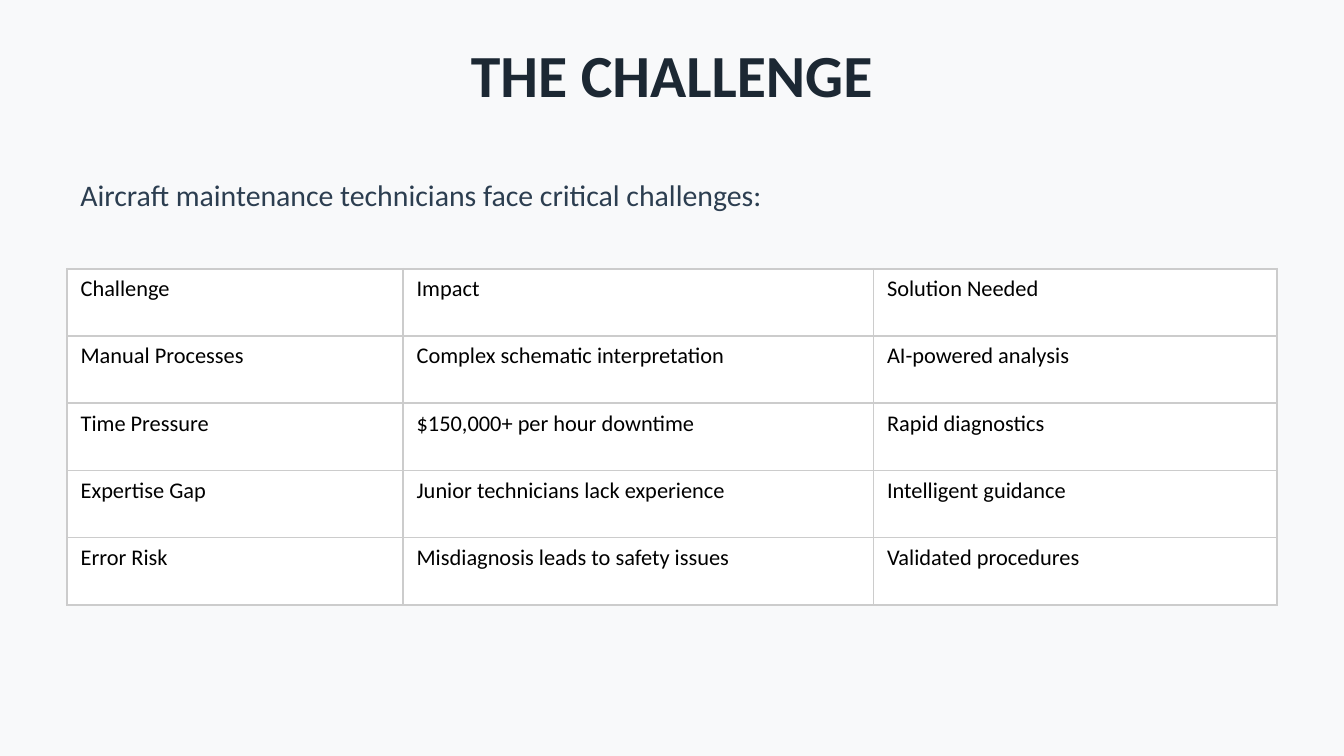
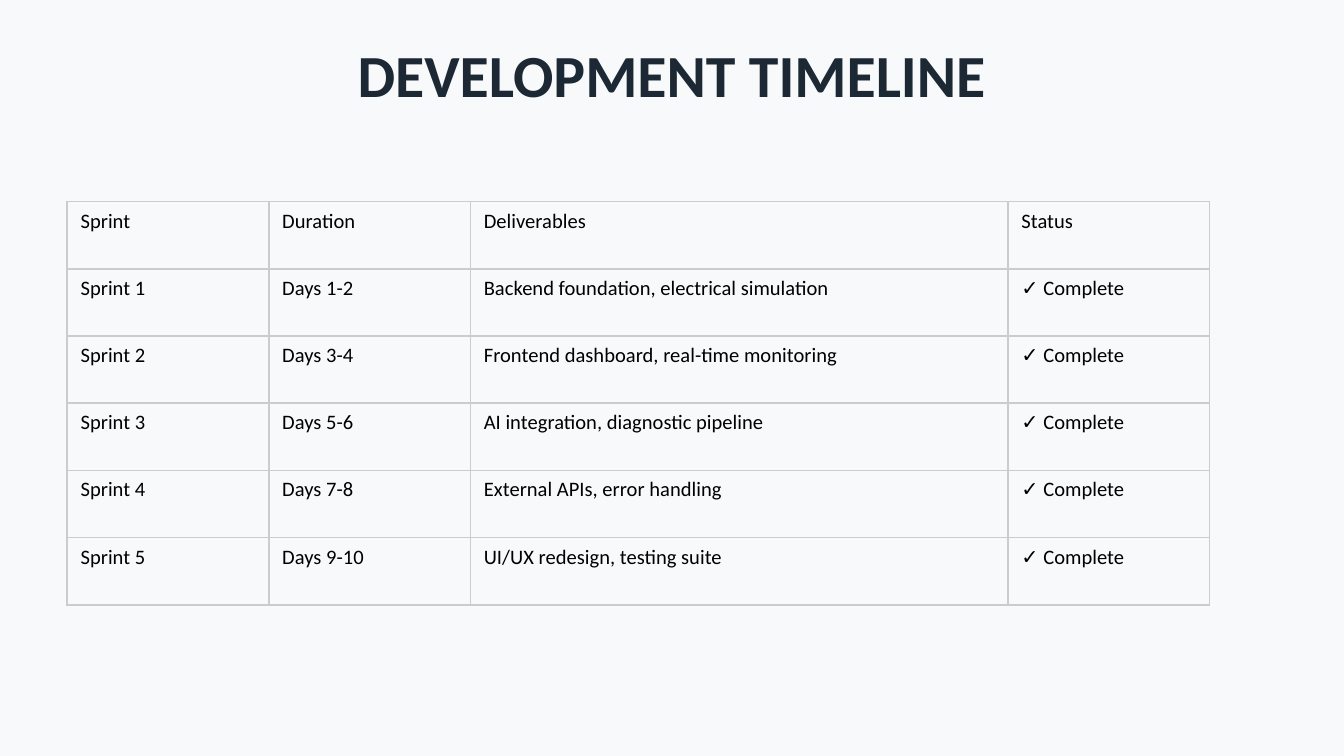
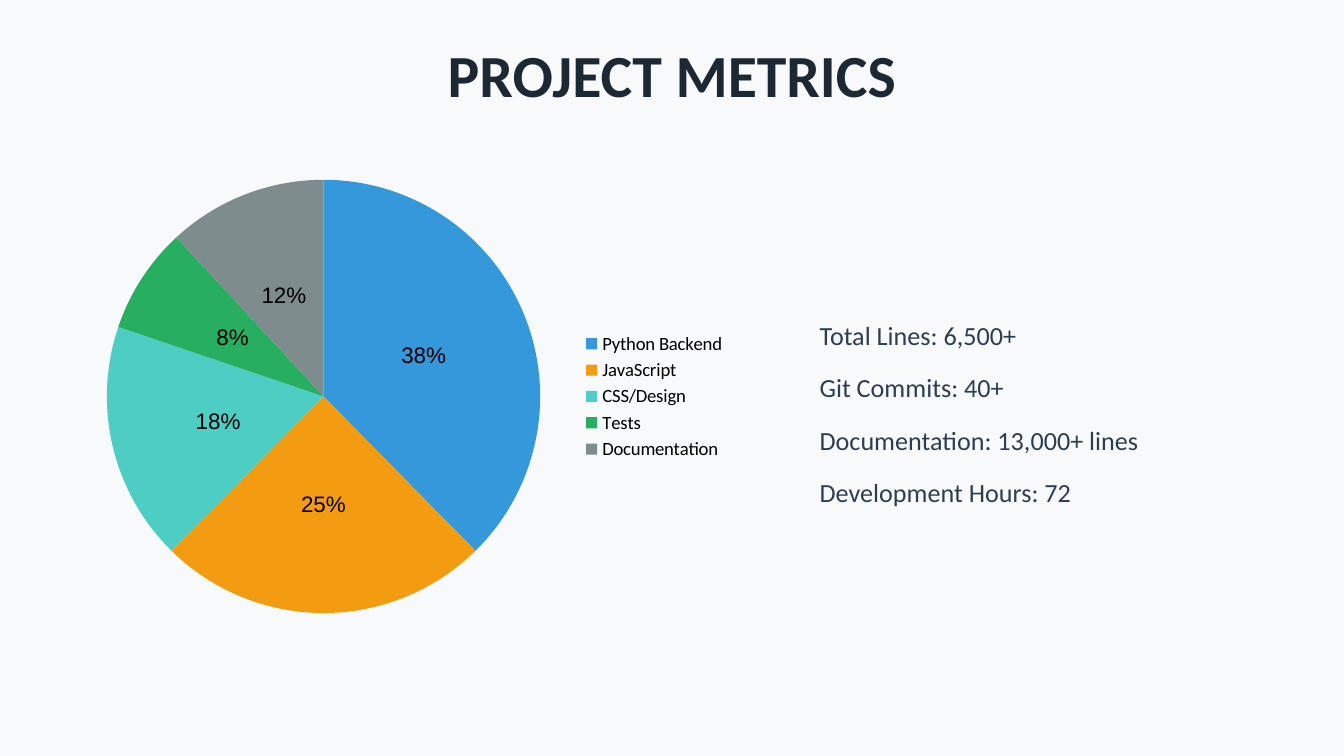
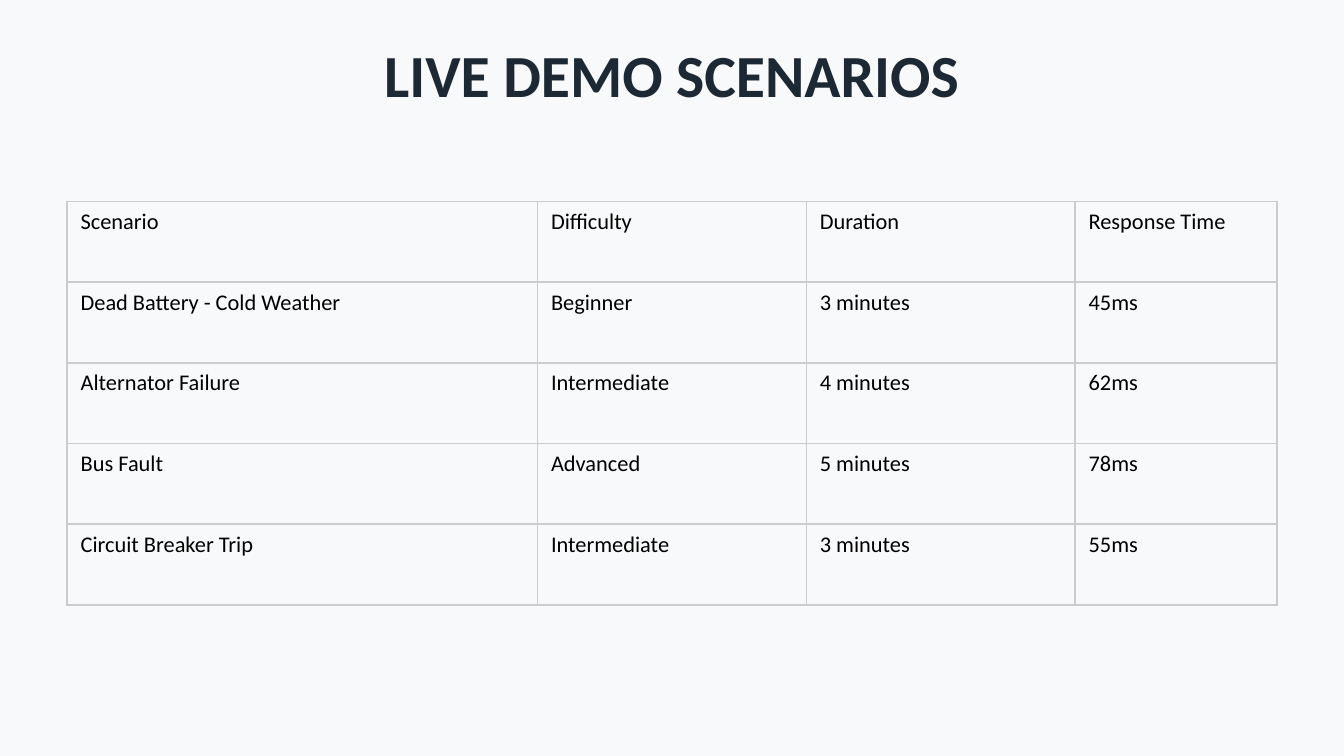
"""Build four slides on an aircraft maintenance assistant: three tables and a pie chart."""
import dataclasses
import typing

import lxml.etree
import pptx
import pptx.chart.data
import pptx.dml.color
import pptx.enum.chart
import pptx.enum.text
import pptx.oxml.ns
import pptx.slide
import pptx.util

Inches = pptx.util.Inches
Pt = pptx.util.Pt
Align = pptx.enum.text.PP_ALIGN

FONT = "Calibri"
PAPER = "F8F9FA"
HEADING = "1C2833"
BODY = "2C3E50"
BLACK = "000000"
WHITE = "FFFFFF"
GRID = "CCCCCC"
SLICE_EDGE = "F9F9F9"
PAGE_WIDTH = Inches(10)
PAGE_HEIGHT = PAGE_WIDTH * 9 // 16
MARGIN = Inches(0.5)
CONTENT_WIDTH = Inches(9)


@dataclasses.dataclass(frozen=True)
class TextStyle:
    size: float
    color: str
    bold: bool = False
    align: Align = Align.LEFT
    leading: typing.Optional[float] = None


@dataclasses.dataclass(frozen=True)
class Grid:
    top: float
    row_height: float
    columns: tuple[float, ...]
    size: float
    rows: tuple[tuple[str, ...], ...]
    fill: typing.Optional[str] = None


@dataclasses.dataclass(frozen=True)
class Slice:
    label: str
    share: int
    color: str


TITLE = TextStyle(32, HEADING, bold=True, align=Align.CENTER)
LEAD = TextStyle(16, BODY)
FACTS = TextStyle(14, BODY, leading=28)

CHALLENGES = Grid(2, 0.5, (2.5, 3.5, 3), 12, (
    ("Challenge", "Impact", "Solution Needed"),
    ("Manual Processes", "Complex schematic interpretation", "AI-powered analysis"),
    ("Time Pressure", "$150,000+ per hour downtime", "Rapid diagnostics"),
    ("Expertise Gap", "Junior technicians lack experience", "Intelligent guidance"),
    ("Error Risk", "Misdiagnosis leads to safety issues", "Validated procedures"),
), WHITE)

DELIVERABLES = (
    "Backend foundation, electrical simulation",
    "Frontend dashboard, real-time monitoring",
    "AI integration, diagnostic pipeline",
    "External APIs, error handling",
    "UI/UX redesign, testing suite",
)
TIMELINE = Grid(1.5, 0.5, (1.5, 1.5, 4, 1.5), 11, (
    ("Sprint", "Duration", "Deliverables", "Status"),
    *((f"Sprint {number}", f"Days {2 * number - 1}-{2 * number}", work, "✓ Complete")
      for number, work in enumerate(DELIVERABLES, 1)),
))

SCENARIOS = Grid(1.5, 0.6, (3.5, 2, 2, 1.5), 12, (
    ("Scenario", "Difficulty", "Duration", "Response Time"),
    ("Dead Battery - Cold Weather", "Beginner", "3 minutes", "45ms"),
    ("Alternator Failure", "Intermediate", "4 minutes", "62ms"),
    ("Bus Fault", "Advanced", "5 minutes", "78ms"),
    ("Circuit Breaker Trip", "Intermediate", "3 minutes", "55ms"),
))

CODE_SHARES = (
    Slice("Python Backend", 38, "3498DB"),
    Slice("JavaScript", 25, "F39C12"),
    Slice("CSS/Design", 18, "4ECDC4"),
    Slice("Tests", 8, "27AE60"),
    Slice("Documentation", 12, "7F8C8D"),
)
PROJECT_FACTS = (
    "Total Lines: 6,500+",
    "Git Commits: 40+",
    "Documentation: 13,000+ lines",
    "Development Hours: 72",
)


def rgb(color: str) -> pptx.dml.color.RGBColor:
    return pptx.dml.color.RGBColor.from_string(color)


def style_font(font, size: float, color: str, name: str = FONT, bold: bool = False) -> None:
    font.name = name
    font.size = Pt(size)
    font.bold = bold
    font.color.rgb = rgb(color)


def write(frame, lines: typing.Sequence[str], style: TextStyle) -> None:
    for index, line in enumerate(lines):
        para = frame.add_paragraph() if index else frame.paragraphs[0]
        para.alignment = style.align
        if style.leading:
            para.line_spacing = Pt(style.leading)
        span = para.add_run()
        span.text = line
        style_font(span.font, style.size, style.color, bold=style.bold)


def add_text(page: pptx.slide.Slide, lines: typing.Sequence[str], style: TextStyle,
             top: float, height: float = 0.5, left: int = MARGIN,
             width: int = CONTENT_WIDTH) -> None:
    box = page.shapes.add_textbox(left, Inches(top), width, Inches(height))
    box.text_frame.word_wrap = True
    box.text_frame.vertical_anchor = pptx.enum.text.MSO_ANCHOR.MIDDLE
    write(box.text_frame, lines, style)


def add_page(deck, title: str) -> pptx.slide.Slide:
    page = deck.slides.add_slide(deck.slide_layouts[6])
    page.background.fill.solid()
    page.background.fill.fore_color.rgb = rgb(PAPER)
    add_text(page, [title], TITLE, 0.3)
    return page


def add_borders(cell) -> None:
    qn = pptx.oxml.ns.qn
    properties = cell._tc.get_or_add_tcPr()
    for index, side in enumerate(("lnL", "lnR", "lnT", "lnB")):
        line = lxml.etree.Element(qn(f"a:{side}"), w=str(Pt(1)))
        fill = lxml.etree.SubElement(line, qn("a:solidFill"))
        lxml.etree.SubElement(fill, qn("a:srgbClr"), val=GRID)
        properties.insert(index, line)


def add_grid(page: pptx.slide.Slide, grid: Grid) -> None:
    height = Inches(grid.row_height * len(grid.rows))
    frame = page.shapes.add_table(len(grid.rows), len(grid.columns), MARGIN,
                                  Inches(grid.top), CONTENT_WIDTH, height)
    table = frame.table
    table.first_row = False
    table.horz_banding = False
    for column, width in zip(table.columns, grid.columns):
        column.width = Inches(width)
    style = TextStyle(grid.size, BLACK)
    for row, texts in zip(table.rows, grid.rows):
        row.height = Inches(grid.row_height)
        for cell, text in zip(row.cells, texts):
            if grid.fill:
                cell.fill.solid()
                cell.fill.fore_color.rgb = rgb(grid.fill)
            else:
                cell.fill.background()
            add_borders(cell)
            write(cell.text_frame, [text], style)
    frame.width = CONTENT_WIDTH


def add_pie(page: pptx.slide.Slide, slices: typing.Sequence[Slice]) -> None:
    data = pptx.chart.data.CategoryChartData()
    data.categories = [part.label for part in slices]
    data.add_series("Series 1", [part.share for part in slices])
    chart = page.shapes.add_chart(pptx.enum.chart.XL_CHART_TYPE.PIE, MARGIN, Inches(1.2),
                                  Inches(5), Inches(3.5), data).chart
    chart.has_title = False
    style_font(chart.font, 10, BLACK)
    chart.has_legend = True
    chart.legend.position = pptx.enum.chart.XL_LEGEND_POSITION.RIGHT
    chart.legend.include_in_layout = False
    style_font(chart.legend.font, 10, BLACK)

    plot = chart.plots[0]
    plot.vary_by_categories = True
    series = plot.series[0]
    series.format.line.color.rgb = rgb(SLICE_EDGE)
    series.format.line.width = Pt(0.75)
    for index, part in enumerate(slices):
        fill = series.points[index].format.fill
        fill.solid()
        fill.fore_color.rgb = rgb(part.color)

    labels = series.data_labels
    labels.show_percentage = True
    labels.show_value = False
    labels.number_format = "0%"
    labels.number_format_is_linked = False
    labels.position = pptx.enum.chart.XL_LABEL_POSITION.CENTER
    style_font(labels.font, 12, BLACK, name="Arial")


def main() -> None:
    deck = pptx.Presentation()
    deck.slide_width = PAGE_WIDTH
    deck.slide_height = PAGE_HEIGHT

    page = add_page(deck, "THE CHALLENGE")
    add_text(page, ["Aircraft maintenance technicians face critical challenges:"], LEAD, 1.2)
    add_grid(page, CHALLENGES)

    add_grid(add_page(deck, "DEVELOPMENT TIMELINE"), TIMELINE)

    page = add_page(deck, "PROJECT METRICS")
    add_pie(page, CODE_SHARES)
    add_text(page, PROJECT_FACTS, FACTS, 2, 2, Inches(6), Inches(3.5))

    add_grid(add_page(deck, "LIVE DEMO SCENARIOS"), SCENARIOS)
    deck.save("out.pptx")


if __name__ == "__main__":
    main()
